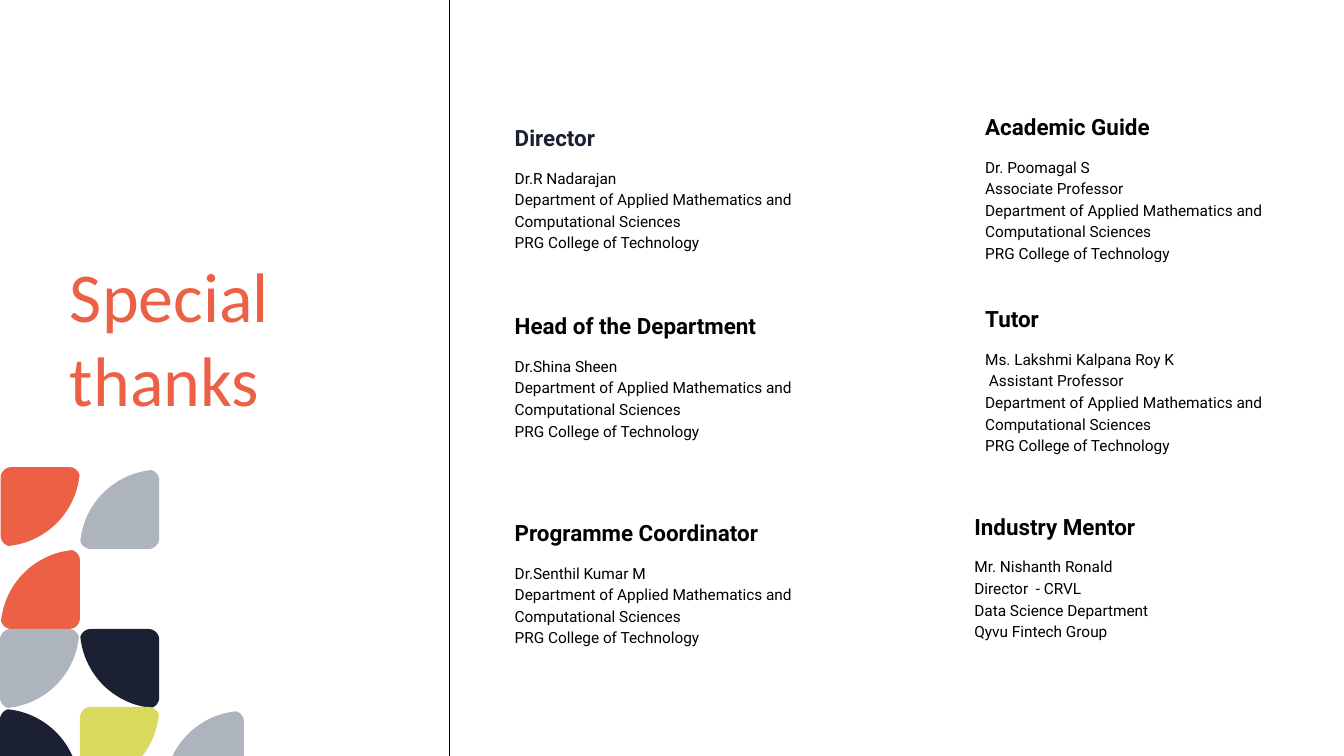
import copy
import math
from typing import NamedTuple

from pptx import Presentation
from pptx import util as u
from pptx.dml import color
from pptx.enum import shapes, text
from pptx.oxml import ns
from pptx.oxml import parse_xml

WIDTH, HEIGHT = u.Inches(20), u.Inches(11.25)
COLORS = {"ink": "000000", "navy": "1B2133", "coral": "EC6146", "grey": "AEB4BE", "lime": "DADB5E"}
LEAF_SIZE, CORNER = 1.18, 0.16

BODY = {"name": "Roboto", "size": u.Pt(16.5), "bold": False}
FONTS = {
    "display": {"name": "Calibri", "size": u.Pt(75), "bold": False},
    "heading": {"name": "Roboto", "size": u.Pt(24), "bold": True},
}
SPACING = {
    "display": {},
    "heading": {},
    "name": {"space_before": u.Pt(19.4)},
    "role": {"space_before": u.Pt(16), "line_spacing": 1.17},
    "department": {"line_spacing": 1.17},
    "institute": {"space_before": u.Pt(3.5)},
}


class Line(NamedTuple):
    words: str
    style: str
    color: str = "ink"


class Block(NamedTuple):
    left: float
    top: float
    width: float
    height: float
    lines: list[Line]


class Leaf(NamedTuple):
    left: float
    top: float
    flip_x: bool
    flip_y: bool
    color: str


COLLEGE = [
    Line("Department of Applied Mathematics and Computational Sciences", "department"),
    Line("PRG College of Technology", "institute"),
]
HEADING = Block(73.3, 14.84, 12.4, 3.82, [Line("Academic Guide", "heading")])
LEFT_COLUMN = [
    (16.27, Line("Director", "heading", "navy"), "Dr.R Nadarajan"),
    (41.16, Line("Head of the Department", "heading"), "Dr.Shina Sheen"),
    (68.53, Line("Programme Coordinator", "heading"), "Dr.Senthil Kumar M"),
]
BLOCKS = [
    Block(38.3, top, 21.25, 17.24, [role, Line(person, "name"), *COLLEGE])
    for top, role, person in LEFT_COLUMN
] + [
    Block(5.2, 33.33, 18.3, 22.49, [Line("Special thanks", "display", "coral")]),
    Block(73.3, 20.36, 21.25, 14.58,
          [Line("Dr. Poomagal S\vAssociate Professor", "department"), *COLLEGE]),
    Block(73.3, 40.27, 21.25, 20.18,
          [Line("Tutor", "heading"),
           Line("Ms. Lakshmi Kalpana Roy K\v Assistant Professor", "role"), *COLLEGE]),
    Block(72.5, 67.73, 18.3, 17.33,
          [Line("Industry Mentor", "heading"),
           Line("Mr. Nishanth Ronald\vDirector  - CRVL\vData Science Department", "role"),
           Line("Qyvu Fintech Group", "institute")]),
]
LEAVES = [
    Leaf(0.05, 61.78, False, False, "coral"),
    Leaf(5.95, 62.13, True, True, "grey"),
    Leaf(0.05, 72.71, True, True, "coral"),
    Leaf(0, 83.2, False, False, "grey"),
    Leaf(5.95, 83.2, True, False, "navy"),
    Leaf(5.95, 93.51, False, False, "lime"),
    Leaf(0, 93.78, False, True, "navy"),
    Leaf(12.25, 94.04, True, True, "grey"),
]


def across(share: float) -> int:
    return round(WIDTH * share / 100)


def down(share: float) -> int:
    return round(HEIGHT * share / 100)


def rgb(name: str) -> color.RGBColor:
    return color.RGBColor.from_string(COLORS[name])


def apply(target, values: dict) -> None:
    for key, value in values.items():
        setattr(target, key, value)


def fill_block(box, block: Block) -> None:
    apply(box, {"left": across(block.left), "top": down(block.top),
                "width": across(block.width), "height": down(block.height)})
    frame = box.text_frame
    apply(frame, {"margin_left": 0, "margin_right": 0, "margin_top": u.Inches(0.01),
                  "margin_bottom": 0, "word_wrap": True,
                  "auto_size": text.MSO_AUTO_SIZE.NONE,
                  "vertical_anchor": text.MSO_ANCHOR.TOP})
    for index, line in enumerate(block.lines):
        para = frame.add_paragraph() if index else frame.paragraphs[0]
        para.text = line.words
        apply(para, {"alignment": text.PP_ALIGN.LEFT, **SPACING[line.style]})
        for span in para.runs:
            apply(span.font, FONTS.get(line.style, BODY))
            span.font.color.rgb = rgb(line.color)
        for line_break in para._p.findall(ns.qn("a:br")):
            line_break.append(copy.deepcopy(para.runs[0]._r.rPr))


def arc(x: float, y: float, radius: float, start: int, end: int, steps: int) -> list:
    angles = [math.radians(start + (end - start) * i / steps) for i in range(steps + 1)]
    return [(x + radius * math.cos(a), y + radius * math.sin(a)) for a in angles]


def clip_bottom(points: list, limit: float) -> list:
    kept = []
    for (x1, y1), (x2, y2) in zip(points, points[1:] + points[:1]):
        if y1 <= limit:
            kept.append((x1, y1))
        if (y1 <= limit) != (y2 <= limit):
            kept.append((x1 + (x2 - x1) * (limit - y1) / (y2 - y1), limit))
    return kept


def draw_leaf(page, leaf: Leaf) -> None:
    far = LEAF_SIZE - CORNER
    outline = (arc(CORNER, CORNER, CORNER, 180, 270, 6)
               + arc(far, CORNER, CORNER, 270, 345, 6)
               + arc(0, 0, LEAF_SIZE, 6, 84, 30)
               + arc(CORNER, far, CORNER, 105, 180, 6))
    points = [
        (across(leaf.left) + u.Inches(LEAF_SIZE - x if leaf.flip_x else x),
         down(leaf.top) + u.Inches(LEAF_SIZE - y if leaf.flip_y else y))
        for x, y in outline
    ]
    points = clip_bottom(points, HEIGHT)
    builder = page.shapes.build_freeform(*points[0], scale=1.0)
    builder.add_line_segments(points[1:], close=True)
    shape = builder.convert_to_shape()
    shape.shadow.inherit = False
    shape.fill.solid()
    shape.fill.fore_color.rgb = rgb(leaf.color)
    shape.line.fill.background()


def draw_divider(page) -> None:
    x = across(33.4)
    divider = page.shapes.add_connector(shapes.MSO_CONNECTOR.STRAIGHT, x, HEIGHT, x, 0)
    divider.line.color.rgb = rgb("ink")
    divider.line.width = u.Pt(0.75)
    divider._element.spPr.append(parse_xml(f"<a:effectLst {ns.nsdecls('a')}/>"))


def main() -> None:
    deck = Presentation()
    apply(deck, {"slide_width": WIDTH, "slide_height": HEIGHT})
    page = deck.slides.add_slide(deck.slide_layouts[5])
    fill_block(page.shapes.title, HEADING)
    for block in BLOCKS:
        fill_block(page.shapes.add_textbox(0, 0, 0, 0), block)
    draw_divider(page)
    for leaf in LEAVES:
        draw_leaf(page, leaf)
    deck.save("out.pptx")


if __name__ == "__main__":
    main()
